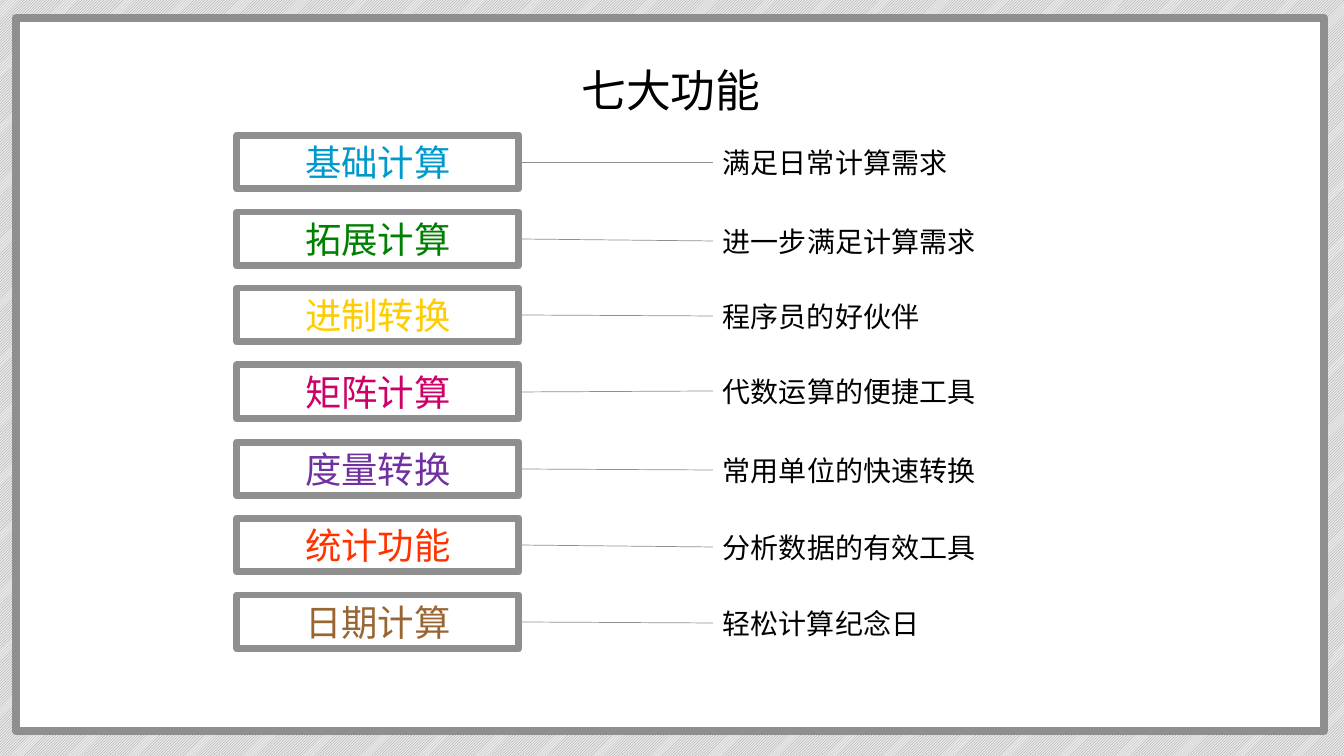
from dataclasses import dataclass

from lxml.etree import SubElement
from pptx import Presentation
from pptx.dml.color import RGBColor
from pptx.enum.dml import MSO_PATTERN
from pptx.enum.shapes import MSO_CONNECTOR, MSO_SHAPE
from pptx.enum.text import MSO_ANCHOR, PP_ALIGN
from pptx.oxml.ns import qn
from pptx.util import Emu, Pt

PAGE_WIDTH, PAGE_HEIGHT = 1344, 756
BOX_LEFT, BOX_WIDTH, BOX_HEIGHT = 237, 282, 54
FIRST_BOX_TOP, LAST_BOX_TOP = 135, 595
LABEL_LEFT, LABEL_HEIGHT = 713, 44

FEATURES = [
    ("基础计算", "0099CC", "满足日常计算需求", 140),
    ("拓展计算", "008000", "进一步满足计算需求", 219),
    ("进制转换", "FFCC00", "程序员的好伙伴", 294),
    ("矩阵计算", "CC0066", "代数运算的便捷工具", 369),
    ("度量转换", "7030A0", "常用单位的快速转换", 448),
    ("统计功能", "FF3300", "分析数据的有效工具", 525),
    ("日期计算", "996633", "轻松计算纪念日", 601),
]


@dataclass(frozen=True)
class Theme:
    font: str = "Noto Sans CJK SC"
    ink: str = "000000"
    paper: str = "FFFFFF"
    gray: str = "8F8F8F"
    backdrop: str = "E9E9E9"
    title_size: int = 32
    box_size: int = 26
    label_size: int = 20
    frame_line: float = 6
    box_line: float = 5
    thin_line: float = 0.5


def px(length):
    return Emu(round(length * 914400 / 100.8))


def apply(target, values):
    for name, value in values.items():
        setattr(target, name, value)


class Painter:
    def __init__(self, page, theme):
        self.page = page
        self.theme = theme

    def backdrop(self):
        fill = self.page.background.fill
        fill.patterned()
        fill.pattern = MSO_PATTERN.LIGHT_UPWARD_DIAGONAL
        fill.fore_color.rgb = RGBColor.from_string(self.theme.gray)
        fill.back_color.rgb = RGBColor.from_string(self.theme.backdrop)

    def stroke(self, line, width):
        line.color.rgb = RGBColor.from_string(self.theme.gray)
        line.width = Pt(width)

    def letter(self, shape, text, size, color, align):
        frame = shape.text_frame
        apply(frame, {"word_wrap": True, "vertical_anchor": MSO_ANCHOR.MIDDLE})
        para = frame.paragraphs[0]
        para.alignment = align
        span = para.add_run()
        span.text = text
        apply(span.font, {"name": self.theme.font, "size": Pt(size)})
        span.font.color.rgb = RGBColor.from_string(color)
        SubElement(span.font._element, qn("a:ea"), typeface=self.theme.font)

    def rectangle(self, left, top, width, height, line_width):
        box = self.page.shapes.add_shape(
            MSO_SHAPE.RECTANGLE, px(left), px(top), px(width), px(height))
        box.shadow.inherit = False
        box.fill.solid()
        box.fill.fore_color.rgb = RGBColor.from_string(self.theme.paper)
        self.stroke(box.line, line_width)
        return box

    def text(self, left, top, width, height, text, size, align=PP_ALIGN.LEFT):
        label = self.page.shapes.add_textbox(
            px(left), px(top), px(width), px(height))
        self.letter(label, text, size, self.theme.ink, align)
        return label

    def link(self, box, label):
        line = self.page.shapes.add_connector(
            MSO_CONNECTOR.STRAIGHT, 0, 0, 0, 0)
        line.begin_connect(box, 3)
        line.end_connect(label, 1)
        self.stroke(line.line, self.theme.thin_line)
        SubElement(line._element.spPr, qn("a:effectLst"))


def main():
    deck = Presentation()
    apply(deck, {"slide_width": px(PAGE_WIDTH), "slide_height": px(PAGE_HEIGHT)})
    theme = Theme()
    painter = Painter(deck.slides.add_slide(deck.slide_layouts[6]), theme)

    painter.backdrop()
    painter.rectangle(16, 18, 1308, 713, theme.frame_line)
    painter.text(460, 57, 422, 65, "七大功能", theme.title_size, PP_ALIGN.CENTER)

    pitch = (LAST_BOX_TOP - FIRST_BOX_TOP) / (len(FEATURES) - 1)
    for row, (name, color, benefit, label_top) in enumerate(FEATURES):
        box_top = round(FIRST_BOX_TOP + row * pitch)
        box = painter.rectangle(
            BOX_LEFT, box_top, BOX_WIDTH, BOX_HEIGHT, theme.box_line)
        painter.letter(box, name, theme.box_size, color, PP_ALIGN.CENTER)
        label_width = 267 if len(benefit) <= 8 else 301
        label = painter.text(LABEL_LEFT, label_top, label_width, LABEL_HEIGHT,
                             benefit, theme.label_size)
        painter.link(box, label)

    deck.save("out.pptx")


if __name__ == "__main__":
    main()
